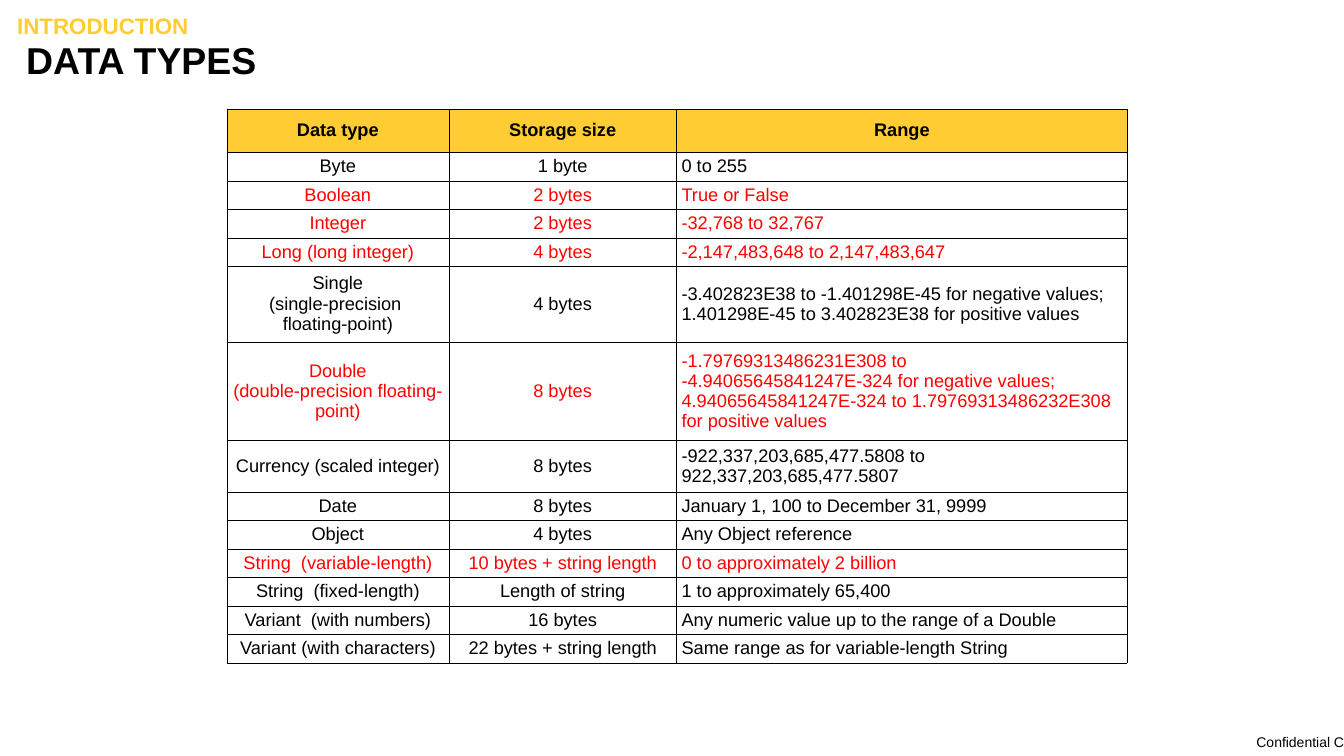
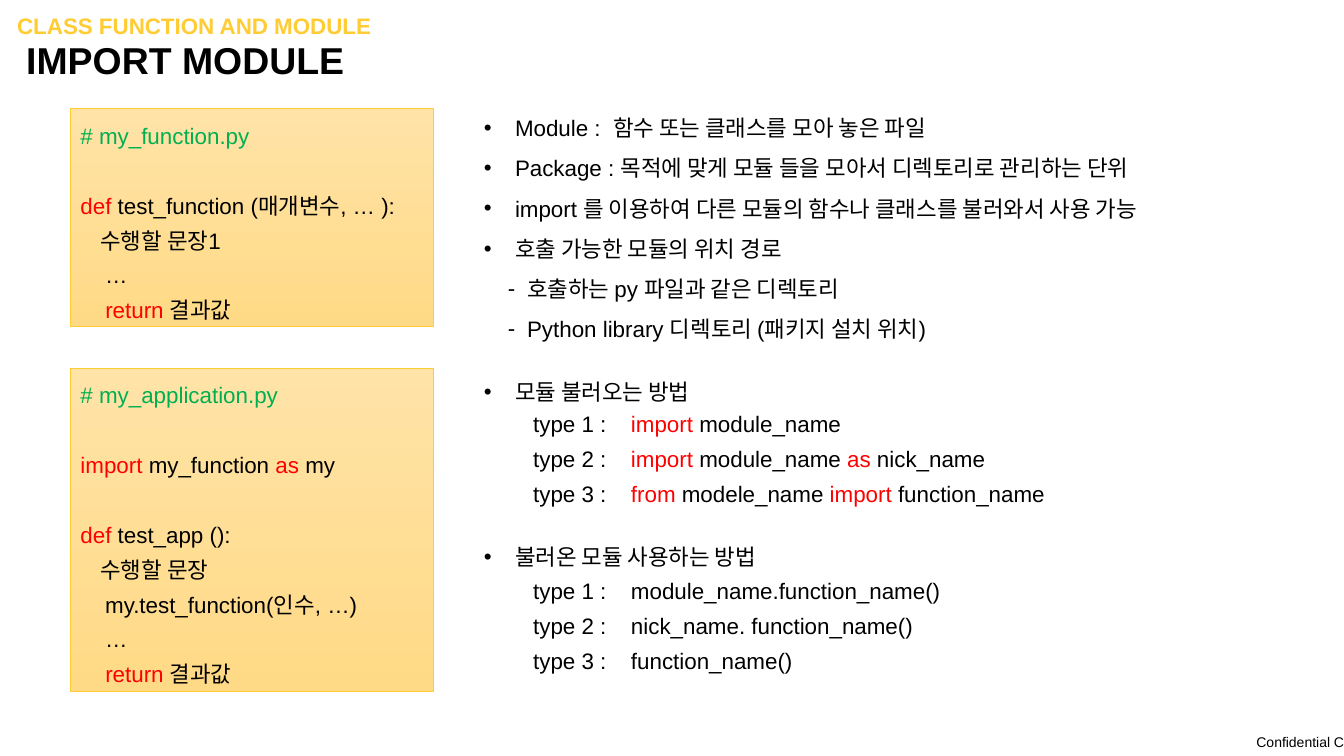
from itertools import groupby

from lxml import etree
from pptx import Presentation
from pptx import util as u
from pptx.dml.color import RGBColor
from pptx.enum import shapes, text
from pptx.oxml import ns

Inches, Pt = u.Inches, u.Pt

# Shared look
FONT = "Arial"
BLACK, RED, GREEN, YELLOW = "000000", "FF0000", "00B050", "FFCC33"
BOX_TOP, BOX_BOTTOM = "FFE3A7", "FFDA86"
BODY_SIZE = 16
KEYWORDS = {"def", "import", "as", "from", "return"}
TITLE_ONLY = 5

# Data types table: name, storage, range, highlighted
HEADINGS = ("Data type", "Storage size", "Range")
DATA_TYPES = [
    ("Byte", "1 byte", "0 to 255", False),
    ("Boolean", "2 bytes", "True or False", True),
    ("Integer", "2 bytes", "-32,768 to 32,767", True),
    ("Long (long integer)", "4 bytes", "-2,147,483,648 to 2,147,483,647", True),
    ("Single\v(single-precision \nfloating-point)", "4 bytes",
     "-3.402823E38 to -1.401298E-45 for negative values; "
     "1.401298E-45 to 3.402823E38 for positive values", False),
    ("Double\v(double-precision floating-point)", "8 bytes",
     "-1.79769313486231E308 to \v-4.94065645841247E-324 for negative values; "
     "4.94065645841247E-324 to 1.79769313486232E308 for positive values", True),
    ("Currency (scaled integer)", "8 bytes",
     "-922,337,203,685,477.5808 to 922,337,203,685,477.5807", False),
    ("Date", "8 bytes", "January 1, 100 to December 31, 9999", False),
    ("Object", "4 bytes", "Any Object reference", False),
    ("String  (variable-length)", "10 bytes + string length",
     "0 to approximately 2 billion", True),
    ("String  (fixed-length)", "Length of string", "1 to approximately 65,400", False),
    ("Variant  (with numbers)", "16 bytes",
     "Any numeric value up to the range of a Double", False),
    ("Variant (with characters)", "22 bytes + string length",
     "Same range as for variable-length String", False),
]
COLUMN_WIDTHS = (2.2, 2.26, 4.47)
TABLE_HEIGHT = 5.5
TALL_ROWS = {0: 0.43, 5: 0.75, 6: 0.98, 7: 0.51}

# Module slide; an empty line in code becomes a gap
FUNCTION_CODE = ["# my_function.py", "", "def test_function (매개변수, … ):",
                 "    수행할 문장1", "    …", "    return 결과값"]
APPLICATION_CODE = ["# my_application.py", "", "import my_function as my", "",
                    "def test_app ():", "    수행할 문장",
                    "    my.test_function(인수, …)", "    …", "    return 결과값"]
MODULE_NOTES = [
    ("•", "Module :  함수 또는 클래스를 모아 놓은 파일"),
    ("•", "Package : 목적에 맞게 모듈 들을 모아서 디렉토리로 관리하는 단위"),
    ("•", "import 를 이용하여 다른 모듈의 함수나 클래스를 불러와서 사용 가능"),
    ("•", "호출 가능한 모듈의 위치 경로"),
    ("-", "호출하는 py 파일과 같은 디렉토리"),
    ("-", "Python library 디렉토리 (패키지 설치 위치)"),
]
BULLET_INDENTS = {"•": (0.31, 0.31), "-": (0.43, 0.19)}
IMPORT_WAYS = ["import module_name", "import module_name as nick_name",
               "from modele_name import function_name"]
USE_WAYS = ["module_name.function_name()", "nick_name. function_name()",
            "function_name()"]


def rgb(value):
    return RGBColor.from_string(value)


def add_element(parent, tag, **attributes):
    return etree.SubElement(parent, ns.qn(tag), attributes)


def style(paragraph, size=BODY_SIZE, color=BLACK, bold=False, spacing=None):
    if spacing:
        paragraph.line_spacing = spacing
    font = paragraph.font
    font.name, font.size, font.bold = FONT, Pt(size), bold
    font.color.rgb = rgb(color)


def set_frame(frame, margins=(0.1, 0.05), anchor=text.MSO_ANCHOR.TOP):
    frame.word_wrap = True
    frame.vertical_anchor = anchor
    frame.margin_left = frame.margin_right = Inches(margins[0])
    frame.margin_top = frame.margin_bottom = Inches(margins[1])


def add_textbox(slide, left, top, width, height, **frame_options):
    shape = slide.shapes.add_textbox(*map(Inches, (left, top, width, height)))
    set_frame(shape.text_frame, **frame_options)
    return shape


def next_paragraph(frame, index):
    return frame.add_paragraph() if index else frame.paragraphs[0]


# Header and footer
def add_titled_slide(presentation, section, title):
    slide = presentation.slides.add_slide(presentation.slide_layouts[TITLE_ONLY])
    box = add_textbox(slide, 0.17, 0.15, 12.81, 0.24, margins=(0, 0))
    paragraph = box.text_frame.paragraphs[0]
    paragraph.text = section
    style(paragraph, color=YELLOW, bold=True, spacing=0.9)

    shape = slide.shapes.title
    shape.left, shape.top, shape.width, shape.height = map(
        Inches, (0.26, 0.43, 12.81, 0.38))
    set_frame(shape.text_frame, (0, 0), text.MSO_ANCHOR.MIDDLE)
    paragraph = shape.text_frame.paragraphs[0]
    paragraph.text = title
    paragraph.alignment = text.PP_ALIGN.LEFT
    style(paragraph, size=26.7, bold=True, spacing=0.9)
    return slide


def add_footer_to_layout(slide):
    box = add_textbox(slide, 12.15, 7.23, 1.18, 0.27, margins=(0, 0),
                      anchor=text.MSO_ANCHOR.MIDDLE)
    paragraph = box.text_frame.paragraphs[0]
    paragraph.text = "Confidential C"
    paragraph.alignment = text.PP_ALIGN.RIGHT
    style(paragraph, size=10)
    slide.slide_layout.shapes.element.append(box.element)


# Table
def add_cell_borders(cell):
    properties = cell._tc.get_or_add_tcPr()
    for position, side in enumerate(("a:lnL", "a:lnR", "a:lnT", "a:lnB")):
        line = etree.Element(ns.qn(side), w=str(Pt(0.25)))
        add_element(add_element(line, "a:solidFill"), "a:srgbClr", val=BLACK)
        properties.insert(position, line)


def fill_cell(cell, content, centred, color=BLACK, heading=False):
    cell.text = content
    cell.vertical_anchor = text.MSO_ANCHOR.MIDDLE
    cell.margin_left = cell.margin_right = Inches(0.05)
    cell.margin_top = cell.margin_bottom = Inches(0.03)
    for paragraph in cell.text_frame.paragraphs:
        paragraph.alignment = (text.PP_ALIGN.CENTER if centred
                               else text.PP_ALIGN.LEFT)
        style(paragraph, size=13, color=color, bold=heading)
    if heading:
        cell.fill.solid()
        cell.fill.fore_color.rgb = rgb(YELLOW)
    else:
        cell.fill.background()
    add_cell_borders(cell)


def add_data_type_table(slide):
    row_count = len(DATA_TYPES) + 1
    table = slide.shapes.add_table(
        row_count, len(HEADINGS), Inches(2.25), Inches(1.08),
        Inches(sum(COLUMN_WIDTHS)), Inches(TABLE_HEIGHT)).table
    table.first_row = table.horz_banding = False
    for column, width in zip(table.columns, COLUMN_WIDTHS):
        column.width = Inches(width)
    short_row = ((TABLE_HEIGHT - sum(TALL_ROWS.values()))
                 / (row_count - len(TALL_ROWS)))
    for index, row in enumerate(table.rows):
        row.height = Inches(TALL_ROWS.get(index, short_row))

    for column, heading in enumerate(HEADINGS):
        fill_cell(table.cell(0, column), heading, True, heading=True)
    for row, (*values, highlighted) in enumerate(DATA_TYPES, 1):
        for column, value in enumerate(values):
            fill_cell(table.cell(row, column), value, column < 2,
                      RED if highlighted else BLACK)


# Code and notes
def add_code_runs(paragraph, line):
    words = [word + " " for word in line.split(" ")]
    words[-1] = words[-1][:-1]
    for is_keyword, group in groupby(words, lambda word: word.strip() in KEYWORDS):
        run = paragraph.add_run()
        run.text = "".join(group)
        if is_keyword:
            run.font.color.rgb = rgb(RED)


def add_code_box(slide, top, height, lines):
    shape = slide.shapes.add_shape(shapes.MSO_SHAPE.RECTANGLE,
                                   *map(Inches, (0.7, top, 3.6, height)))
    shape.shadow.inherit = False
    shape.fill.gradient()
    shape.fill.gradient_angle = 270
    for stop, color in zip(shape.fill.gradient_stops, (BOX_TOP, BOX_BOTTOM)):
        stop.color.rgb = rgb(color)
    shape.line.color.rgb = rgb(YELLOW)
    shape.line.width = Pt(0.5)
    frame = shape.text_frame
    set_frame(frame)
    gap = False
    for index, line in enumerate(lines):
        if not line:
            gap = True
            continue
        paragraph = next_paragraph(frame, index)
        paragraph.alignment = text.PP_ALIGN.LEFT
        if gap:
            paragraph.space_before = Pt(25)
            gap = False
        add_code_runs(paragraph, line)
        style(paragraph, color=GREEN if line.startswith("#") else BLACK,
              spacing=1.3)


def add_bullets(slide, top, height, items):
    frame = add_textbox(slide, 4.7, top, 7.94, height).text_frame
    for index, (bullet, content) in enumerate(items):
        paragraph = next_paragraph(frame, index)
        paragraph.text = content
        margin, hanging = BULLET_INDENTS[bullet]
        properties = paragraph._p.get_or_add_pPr()
        properties.set("marL", str(Inches(margin)))
        properties.set("indent", str(-Inches(hanging)))
        add_element(properties, "a:buFont", typeface=FONT)
        add_element(properties, "a:buChar", char=bullet)
        style(paragraph, spacing=1.5)


def add_types(slide, top, ways):
    frame = add_textbox(slide, 5.19, top, 5.83, 1.42).text_frame
    for index, way in enumerate(ways):
        paragraph = next_paragraph(frame, index)
        tabs = add_element(paragraph._p.get_or_add_pPr(), "a:tabLst")
        add_element(tabs, "a:tab", pos=str(Inches(0.97)), algn="l")
        paragraph.add_run().text = f"type {index + 1} :\t"
        add_code_runs(paragraph, way)
        style(paragraph, spacing=1.3)


def main():
    presentation = Presentation()
    presentation.slide_width = Inches(13.33)
    presentation.slide_height = Inches(7.5)

    # Data types
    slide = add_titled_slide(presentation, "INTRODUCTION", "DATA TYPES")
    add_footer_to_layout(slide)
    add_data_type_table(slide)

    # Import module
    slide = add_titled_slide(presentation, "CLASS FUNCTION AND MODULE",
                             "IMPORT MODULE")
    add_code_box(slide, 1.08, 2.16, FUNCTION_CODE)
    add_code_box(slide, 3.65, 3.21, APPLICATION_CODE)
    add_bullets(slide, 0.95, 2.47, MODULE_NOTES)
    add_bullets(slide, 3.57, 0.45, [("•", "모듈 불러오는 방법")])
    add_types(slide, 3.94, IMPORT_WAYS)
    add_bullets(slide, 5.21, 0.45, [("•", "불러온 모듈 사용하는 방법")])
    add_types(slide, 5.6, USE_WAYS)

    presentation.save("out.pptx")


if __name__ == "__main__":
    main()
